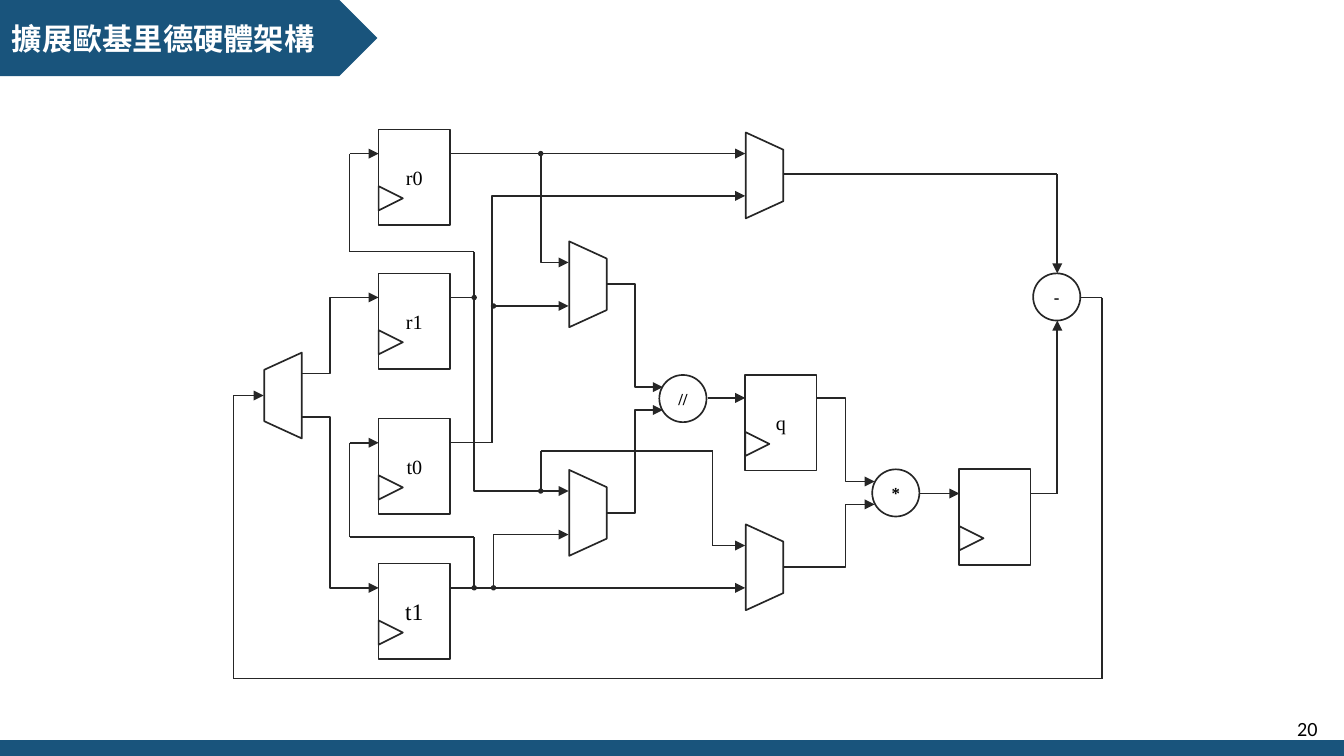
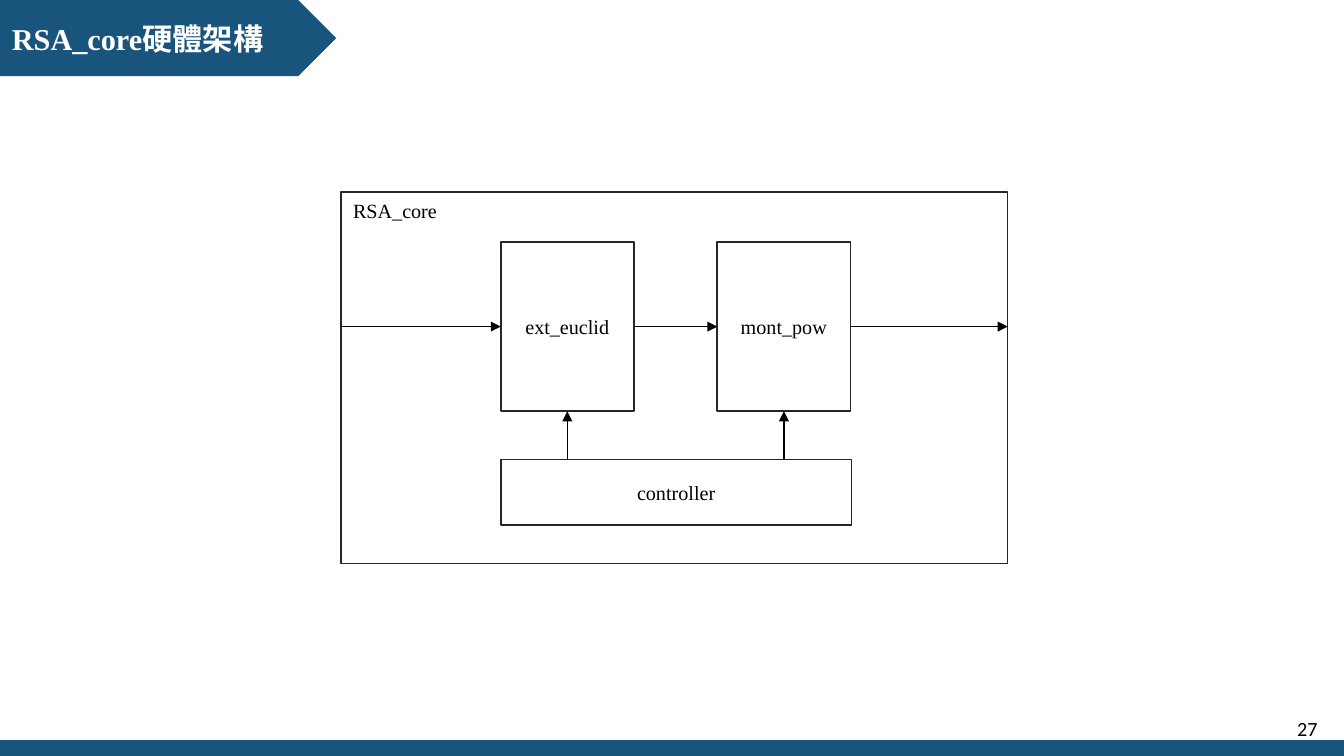
from dataclasses import dataclass
from itertools import pairwise

from lxml.etree import SubElement
from pptx import Presentation
from pptx.dml.color import RGBColor
from pptx.enum.shapes import MSO_CONNECTOR as Connector, MSO_SHAPE as Preset
from pptx.enum.text import MSO_ANCHOR as Anchor, PP_ALIGN as Align
from pptx.oxml.ns import qn
from pptx.shapes.autoshape import Shape
from pptx.slide import Slide
from pptx.util import Inches, Pt

Point = tuple[float, float]


@dataclass(frozen=True)
class Theme:
    band: RGBColor = RGBColor(0x19, 0x54, 0x7C)
    outline: RGBColor = RGBColor(0x26, 0x26, 0x26)
    black: RGBColor = RGBColor(0, 0, 0)
    white: RGBColor = RGBColor(0xFF, 0xFF, 0xFF)
    font: str = "Times New Roman"
    number_font: str = "Calibri"
    title_size: float = 18
    large_size: float = 14
    body_size: float = 12
    operator_size: float = 10
    outline_width: float = 1
    arrow_width: float = 0.75


@dataclass(frozen=True)
class Box:
    left: float
    top: float
    width: float
    height: float


@dataclass(frozen=True)
class Register:
    left: float
    top: float
    label: str = ""
    size: float = 12


@dataclass(frozen=True)
class Mux:
    """A multiplexer, given by its centre and the turn of its wide side."""
    x: float
    y: float
    rotation: int = 270


@dataclass(frozen=True)
class Operator:
    left: float
    top: float
    symbol: str


@dataclass(frozen=True)
class Wire:
    points: tuple[Point, ...]
    arrow: bool = True


@dataclass(frozen=True)
class Block:
    box: Box
    label: str
    align: Align = Align.CENTER
    anchor: Anchor = Anchor.MIDDLE


THEME = Theme()
SLIDE_WIDTH, SLIDE_HEIGHT = 11.11, 6.25
REGISTER_WIDTH, REGISTER_HEIGHT = 0.59, 0.79
CLOCK_SIZE, CLOCK_DROP = 0.2, 0.47
MUX_LENGTH, MUX_DEPTH = 0.71, 0.31
OPERATOR_SIZE, DOT_SIZE = 0.39, 0.03

REGISTERS = (
    Register(3.13, 1.07, "r0"),
    Register(3.13, 2.26, "r1"),
    Register(3.13, 3.46, "t0"),
    Register(3.13, 4.66, "t1", THEME.large_size),
    Register(6.16, 3.1, "q"),
    Register(7.93, 3.88),
)
MUXES = (
    Mux(4.86, 2.35), Mux(4.86, 4.24), Mux(6.32, 1.45), Mux(6.32, 4.69),
    Mux(2.34, 3.27, 90),
)
OPERATORS = (Operator(5.45, 3.1, "//"), Operator(7.21, 3.88, "*"), Operator(8.54, 2.26, "-"))
JUNCTIONS: tuple[Point, ...] = (
    (3.92, 2.46), (4.47, 1.27), (4.08, 2.53), (4.08, 4.86), (3.92, 4.86), (4.47, 4.06),
)


def elbow(start: Point, bend_x: float, end: Point) -> Wire:
    return Wire((start, (bend_x, start[1]), (bend_x, end[1]), end))


DATAPATH_WIRES = (
    # register outputs
    Wire(((3.72, 1.27), (6.16, 1.27))),
    elbow((3.72, 1.27), 4.47, (4.7, 2.17)),
    elbow((3.72, 2.46), 3.92, (4.7, 4.06)),
    elbow((3.72, 3.66), 4.07, (6.16, 1.62)),
    elbow((3.72, 3.66), 4.07, (4.7, 2.53)),
    Wire(((3.72, 4.86), (6.16, 4.86))),
    elbow((3.72, 4.86), 4.08, (4.7, 4.42)),
    # quotient and product
    elbow((5.02, 2.35), 5.25, (5.48, 3.2)),
    elbow((5.02, 4.24), 5.25, (5.48, 3.39)),
    Wire(((5.85, 3.29), (6.16, 3.29))),
    Wire(((4.47, 4.06), (4.47, 3.73), (5.89, 3.73), (5.89, 4.51), (6.16, 4.51))),
    elbow((6.75, 3.29), 6.99, (7.23, 3.98)),
    elbow((6.47, 4.69), 6.99, (7.23, 4.17)),
    Wire(((7.6, 4.08), (7.93, 4.08))),
    # subtraction
    Wire(((8.52, 4.08), (8.74, 4.08), (8.74, 2.65))),
    Wire(((6.47, 1.44), (8.74, 1.44), (8.74, 2.26))),
    # feedback
    Wire(((3.92, 2.46), (3.92, 2.08), (2.89, 2.08), (2.89, 1.27), (3.13, 1.27))),
    Wire(((3.92, 4.86), (3.92, 4.44), (2.89, 4.44), (2.89, 3.66), (3.13, 3.66))),
    Wire(((8.93, 2.46), (9.11, 2.46), (9.11, 5.61), (1.93, 5.61), (1.93, 3.27), (2.18, 3.27))),
    elbow((2.5, 3.09), 2.73, (3.13, 2.46)),
    elbow((2.5, 3.45), 2.73, (3.13, 4.86)),
)

CORE_BLOCKS = (
    Block(Box(2.82, 1.59, 5.51, 3.07), "RSA_core", Align.LEFT, Anchor.TOP),
    Block(Box(4.14, 2, 1.1, 1.4), "ext_euclid"),
    Block(Box(5.93, 2, 1.1, 1.4), "mont_pow"),
    Block(Box(4.14, 3.8, 2.9, 0.54), "controller"),
)
CORE_WIRES = (
    Wire(((2.82, 2.7), (4.14, 2.7))),
    Wire(((5.24, 2.7), (5.93, 2.7))),
    Wire(((7.03, 2.7), (8.33, 2.7))),
    Wire(((4.69, 3.8), (4.69, 3.4))),
    Wire(((6.48, 3.8), (6.48, 3.4))),
)


def write(shape: Shape, text: str, *, size: float = THEME.body_size, font: str = THEME.font,
          color: RGBColor = THEME.black, bold: bool = False, align: Align = Align.CENTER,
          anchor: Anchor = Anchor.MIDDLE, wrap: bool = True, tight: bool = False) -> None:
    frame = shape.text_frame
    frame.word_wrap = wrap
    frame.vertical_anchor = anchor
    if tight:
        frame.margin_left = frame.margin_right = frame.margin_top = frame.margin_bottom = 0
    paragraph = frame.paragraphs[0]
    paragraph.alignment = align
    run = paragraph.add_run()
    run.text = text
    run.font.name = font
    run.font.size = Pt(size)
    run.font.bold = bold
    run.font.color.rgb = color


def add_preset(slide: Slide, preset: Preset, box: Box, *, fill: RGBColor | None = None,
               line: RGBColor | None = THEME.outline, rotation: int = 0) -> Shape:
    shape = slide.shapes.add_shape(
        preset, Inches(box.left), Inches(box.top), Inches(box.width), Inches(box.height))
    shape.shadow.inherit = False
    shape.rotation = rotation
    if fill is None:
        shape.fill.background()
    else:
        shape.fill.solid()
        shape.fill.fore_color.rgb = fill
    if line is None:
        shape.line.fill.background()
    else:
        shape.line.color.rgb = line
        shape.line.width = Pt(THEME.outline_width)
    return shape


def add_line(slide: Slide, start: Point, end: Point, *, color: RGBColor, width: float,
             arrow: bool, bend_x: float | None = None) -> None:
    kind = Connector.STRAIGHT if bend_x is None else Connector.ELBOW
    connector = slide.shapes.add_connector(kind, *(Inches(value) for value in (*start, *end)))
    connector.line.color.rgb = color
    connector.line.width = Pt(width)
    properties = connector._element.spPr
    if bend_x is not None:
        share = round((bend_x - start[0]) / (end[0] - start[0]) * 100000)
        geometry = properties.find(qn("a:prstGeom"))
        guides = geometry.find(qn("a:avLst"))
        if guides is None:
            guides = SubElement(geometry, qn("a:avLst"))
        SubElement(guides, qn("a:gd"), name="adj1", fmla=f"val {share}")
    if arrow:
        SubElement(properties.find(qn("a:ln")), qn("a:tailEnd"), type="triangle")
    SubElement(properties, qn("a:effectLst"))


def add_wire(slide: Slide, wire: Wire, color: RGBColor = THEME.outline,
             width: float = THEME.outline_width) -> None:
    """Draw a two-bend route as one elbow, any other as a chain of straight lines."""
    points = wire.points
    if len(points) == 4:
        add_line(slide, points[0], points[-1], color=color, width=width,
                 arrow=wire.arrow, bend_x=points[1][0])
        return
    for start, end in pairwise(points):
        add_line(slide, start, end, color=color, width=width,
                 arrow=wire.arrow and end == points[-1])


def add_register(slide: Slide, register: Register) -> None:
    body = add_preset(slide, Preset.RECTANGLE,
                      Box(register.left, register.top, REGISTER_WIDTH, REGISTER_HEIGHT))
    if register.label:
        write(body, register.label, size=register.size)
    add_preset(slide, Preset.ISOSCELES_TRIANGLE,
               Box(register.left, register.top + CLOCK_DROP, CLOCK_SIZE, CLOCK_SIZE), rotation=90)


def add_mux(slide: Slide, mux: Mux) -> None:
    box = Box(mux.x - MUX_LENGTH / 2, mux.y - MUX_DEPTH / 2, MUX_LENGTH, MUX_DEPTH)
    add_preset(slide, Preset.FLOWCHART_MANUAL_OPERATION, box, rotation=mux.rotation)


def add_operator(slide: Slide, operator: Operator) -> None:
    circle = add_preset(slide, Preset.OVAL,
                        Box(operator.left, operator.top, OPERATOR_SIZE, OPERATOR_SIZE))
    write(circle, operator.symbol, size=THEME.operator_size, bold=True, wrap=False, tight=True)


def add_junction(slide: Slide, center: Point) -> None:
    x, y = center
    add_preset(slide, Preset.OVAL, Box(x - DOT_SIZE / 2, y - DOT_SIZE / 2, DOT_SIZE, DOT_SIZE),
               fill=THEME.outline)


def add_framed_slide(presentation: Presentation, title: str, title_width: float,
                     number: int) -> Slide:
    """Add a blank slide with the title tab, the bottom band and the page number."""
    slide = presentation.slides.add_slide(presentation.slide_layouts[6])
    tab = add_preset(slide, Preset.PENTAGON, Box(0, 0, title_width, 0.63),
                     fill=THEME.band, line=None)
    write(tab, title, size=THEME.title_size, color=THEME.white, bold=True, align=Align.LEFT)
    add_preset(slide, Preset.RECTANGLE, Box(0, 6.12, SLIDE_WIDTH, 0.16),
               fill=THEME.band, line=None)
    page = slide.shapes.add_textbox(Inches(8.4), Inches(5.86), Inches(2.59), Inches(0.33))
    write(page, str(number), font=THEME.number_font, align=Align.RIGHT)
    return slide


def build_datapath(presentation: Presentation) -> None:
    slide = add_framed_slide(presentation, "擴展歐基里德硬體架構", 3.12, 20)
    for register in REGISTERS:
        add_register(slide, register)
    for mux in MUXES:
        add_mux(slide, mux)
    for operator in OPERATORS:
        add_operator(slide, operator)
    for wire in DATAPATH_WIRES:
        add_wire(slide, wire)
    for center in JUNCTIONS:
        add_junction(slide, center)


def build_core(presentation: Presentation) -> None:
    slide = add_framed_slide(presentation, "RSA_core硬體架構", 2.78, 27)
    for block in CORE_BLOCKS:
        shape = add_preset(slide, Preset.RECTANGLE, block.box)
        write(shape, block.label, align=block.align, anchor=block.anchor)
    for wire in CORE_WIRES:
        add_wire(slide, wire, THEME.black, THEME.arrow_width)


def main() -> None:
    presentation = Presentation()
    presentation.slide_width = Inches(SLIDE_WIDTH)
    presentation.slide_height = Inches(SLIDE_HEIGHT)
    build_datapath(presentation)
    build_core(presentation)
    presentation.save("out.pptx")


if __name__ == "__main__":
    main()
